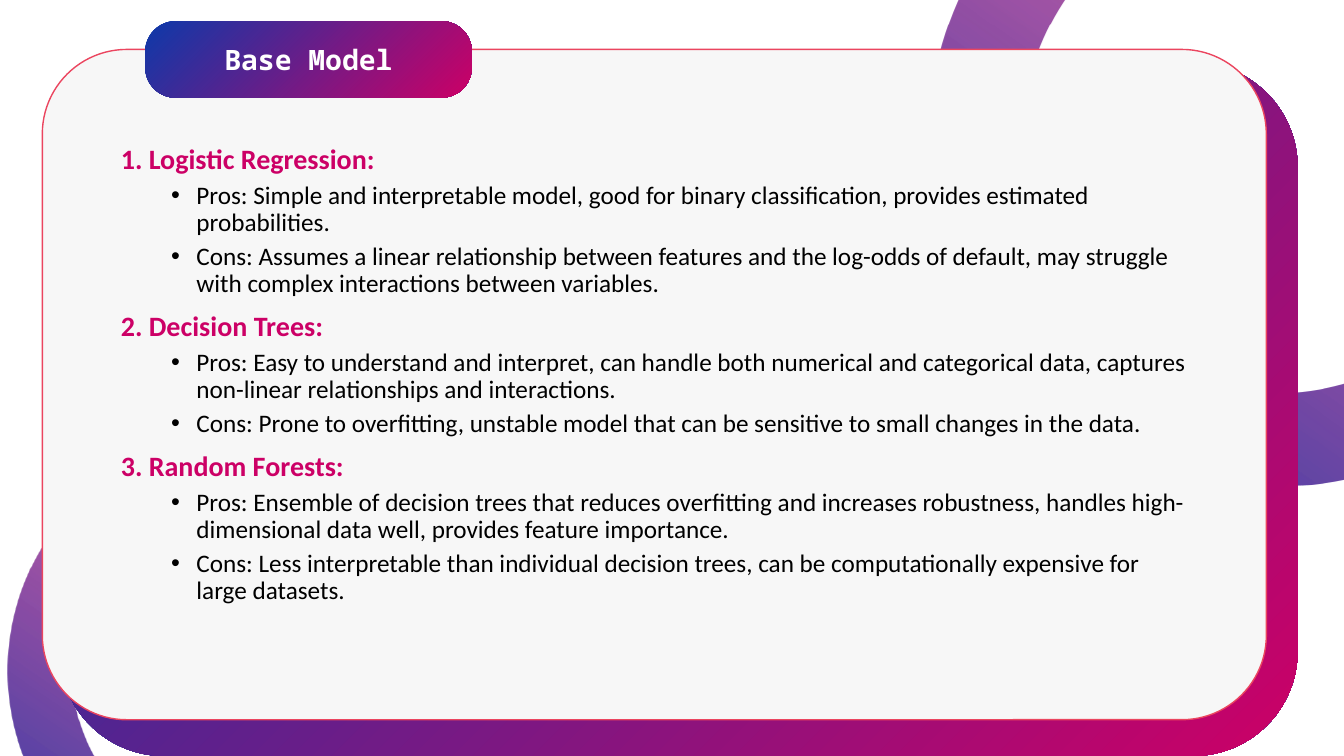
import lxml.etree
import pptx
import pptx.dml.color
import pptx.enum.shapes
import pptx.enum.text
import pptx.oxml.ns
import pptx.util

Inches = pptx.util.Inches
RGBColor = pptx.dml.color.RGBColor
Shapes = pptx.enum.shapes.MSO_SHAPE

BLUE = RGBColor(0x0D, 0x39, 0xA9)
MAGENTA = RGBColor(0xCC, 0x00, 0x66)
PINK = RGBColor(0xFF, 0x00, 0x66)
RED = RGBColor(0xEB, 0x45, 0x5F)
PALE = RGBColor(0xF7, 0xF7, 0xF7)
WHITE = RGBColor(0xFF, 0xFF, 0xFF)
BLACK = RGBColor(0x00, 0x00, 0x00)

MODELS = [
    ("Logistic Regression", [
        "Pros: Simple and interpretable model, good for binary classification, "
        "provides estimated probabilities.",
        "Cons: Assumes a linear relationship between features and the log-odds of default, "
        "may struggle with complex interactions between variables.",
    ]),
    ("Decision Trees", [
        "Pros: Easy to understand and interpret, can handle both numerical and categorical data, "
        "captures non-linear relationships and interactions.",
        "Cons: Prone to overfitting, unstable model that can be sensitive to small changes "
        "in the data.",
    ]),
    ("Random Forests", [
        "Pros: Ensemble of decision trees that reduces overfitting and increases robustness, "
        "handles high-dimensional data well, provides feature importance.",
        "Cons: Less interpretable than individual decision trees, can be computationally "
        "expensive for large datasets.",
    ]),
]


def add_text(para, text, size, color, font="Calibri", bold=False, before=0,
             spacing=1.0, align=None, bullet=False):
    para.alignment = align
    para.line_spacing = spacing
    para.space_before = pptx.util.Pt(before)
    span = para.add_run()
    span.text = text
    span.font.name = font
    span.font.size = pptx.util.Pt(size)
    span.font.bold = bold
    span.font.color.rgb = color
    if bullet:
        para.level = 1
        properties = para._p.get_or_add_pPr()
        properties.set("marL", str(Inches(0.75)))
        properties.set("indent", str(Inches(-0.25)))
        qn = pptx.oxml.ns.qn
        lxml.etree.SubElement(properties, qn("a:buFont"), typeface="Arial")
        lxml.etree.SubElement(properties, qn("a:buChar"), char="•")


def add_panel(kind, left, top, width, height, adjustment, colors):
    panel = page.shapes.add_shape(
        kind, Inches(left), Inches(top), Inches(width), Inches(height))
    panel.adjustments[0] = adjustment
    panel.shadow.inherit = False
    panel.line.fill.background()
    if len(colors) == 1:
        panel.fill.solid()
        panel.fill.fore_color.rgb = colors[0]
    else:
        panel.fill.gradient()
        panel.fill.gradient_angle = 315
        for stop, color in zip(panel.fill.gradient_stops, colors):
            stop.color.rgb = color
    return panel


deck = pptx.Presentation()
deck.slide_width = Inches(13.33)
deck.slide_height = Inches(7.5)
page = deck.slides.add_slide(deck.slide_layouts[6])

for left, top, size in [(0.08, 4.29, 4.72), (9.21, -2.04, 6.86)]:
    ring = add_panel(Shapes.DONUT, left, top, size, size, 0.135, [PINK, BLUE])
    ring.rotation = 80
    ring.fill.gradient_stops[1].position = 0.99
    first_color = ring._element.spPr.find(".//" + pptx.oxml.ns.qn("a:srgbClr"))
    lxml.etree.SubElement(first_color, pptx.oxml.ns.qn("a:alpha"), val="50000")

add_panel(Shapes.ROUNDED_RECTANGLE, 0.59, 0.62, 12.28, 6.88, 0.151, [BLUE, MAGENTA])

card = add_panel(Shapes.ROUNDED_RECTANGLE, 0.42, 0.49, 12.14, 6.65, 0.126, [PALE])
card.line.color.rgb = RED
card.line.width = pptx.util.Pt(1)

title = add_panel(Shapes.ROUNDED_RECTANGLE, 1.44, 0.21, 3.24, 0.76, 0.397, [BLUE, MAGENTA])
title.text_frame.vertical_anchor = pptx.enum.text.MSO_ANCHOR.MIDDLE
add_text(title.text_frame.paragraphs[0], "Base Model", 20, WHITE, font="Noto Sans Mono",
         bold=True, align=pptx.enum.text.PP_ALIGN.CENTER)

box = page.shapes.add_textbox(Inches(1.1), Inches(1.39), Inches(10.78), Inches(4.78))
frame = box.text_frame
frame.word_wrap = True
for number, (model, points) in enumerate(MODELS, 1):
    heading = frame.paragraphs[0] if number == 1 else frame.add_paragraph()
    add_text(heading, f"{number}. {model}:", 20, MAGENTA, bold=True, before=10, spacing=0.9)
    for point in points:
        add_text(frame.add_paragraph(), point, 18, BLACK, before=5, spacing=0.9, bullet=True)

deck.save("out.pptx")
